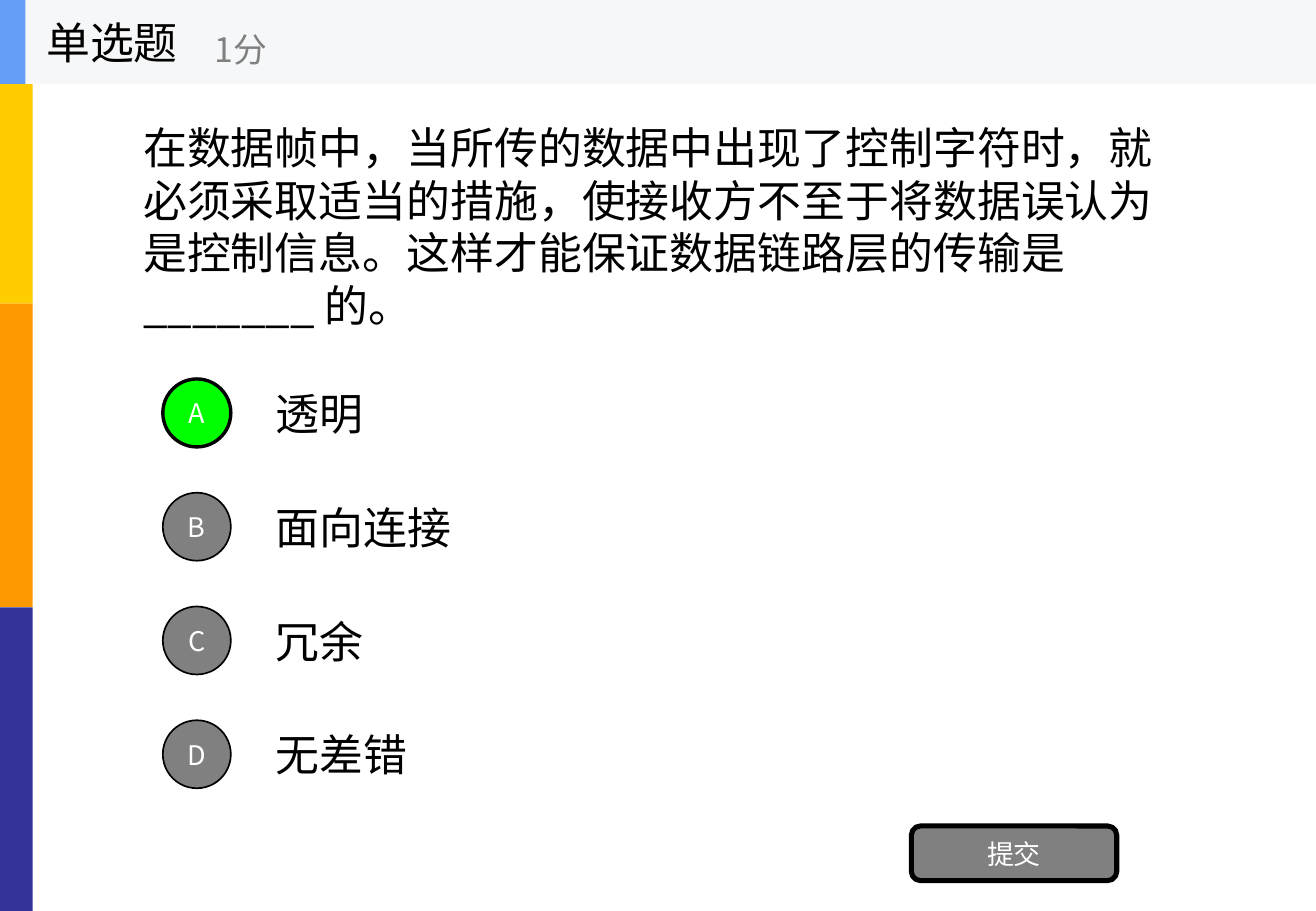
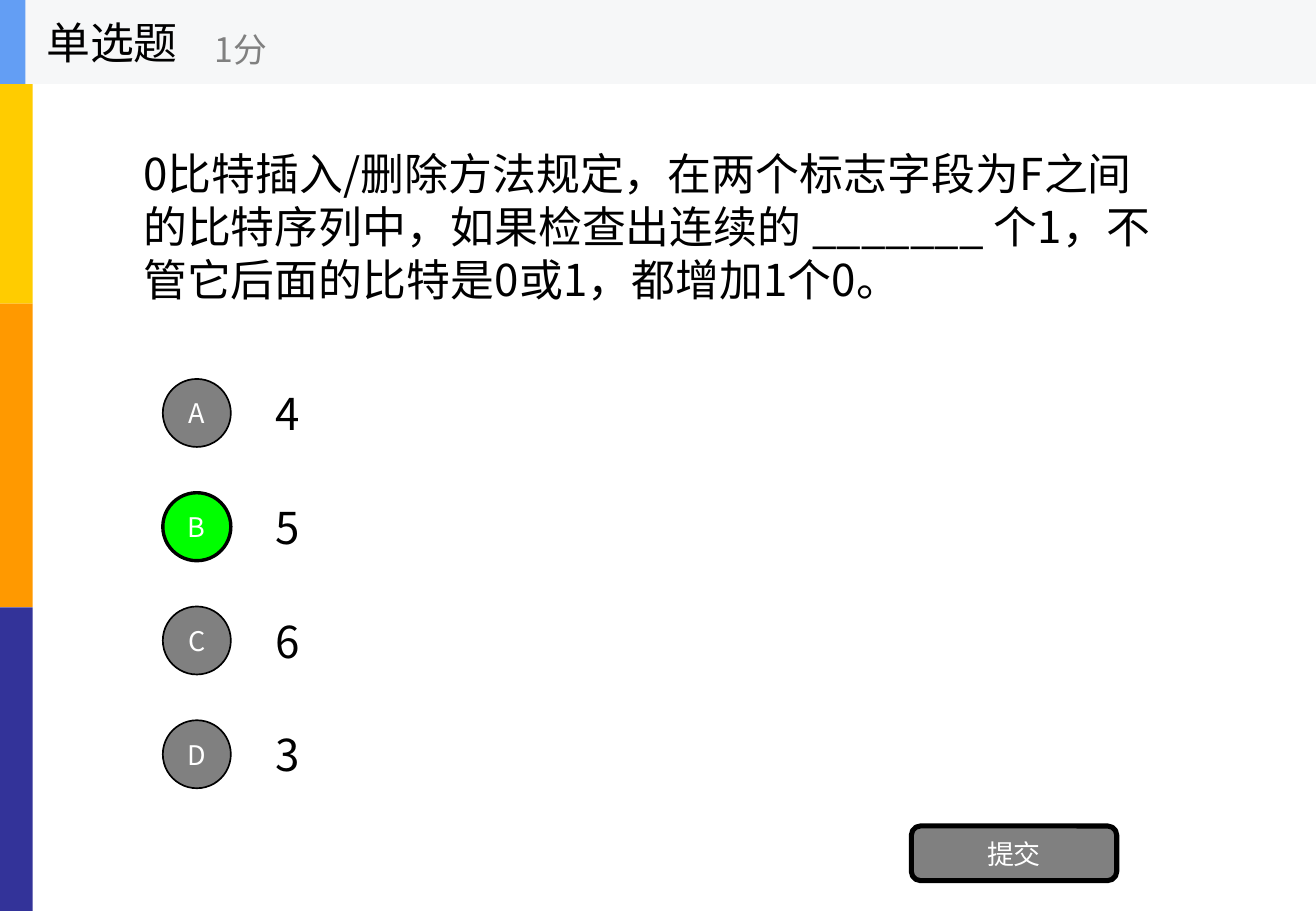
import pptx
import pptx.util
import pptx.dml.color
import pptx.enum.shapes
import pptx.enum.text
import pptx.oxml.ns
import lxml.etree

Inches = pptx.util.Inches
Pt = pptx.util.Pt
SHAPE = pptx.enum.shapes.MSO_SHAPE
ALIGN = pptx.enum.text.PP_ALIGN

QUESTIONS = [
    {
        "stem": "在数据帧中，当所传的数据中出现了控制字符时，就必须采取适当的措施，"
                "使接收方不至于将数据误认为是控制信息。"
                "这样才能保证数据链路层的传输是 _______ 的。",
        "options": ["透明", "面向连接", "冗余", "无差错"],
        "answer": "A",
    },
    {
        "stem": "0比特插入/删除方法规定，在两个标志字段为F之间的比特序列中，"
                "如果检查出连续的 _______ 个1，"
                "不管它后面的比特是0或1，都增加1个0。",
        "options": ["4", "5", "6", "3"],
        "answer": "B",
    },
]
QUESTION_TYPE = "单选题"
SCORE = "1分"
SUBMIT = "提交"

FONT = "Noto Sans CJK SC"
COLORS = {
    "yellow": "FFCC00", "orange": "FF9900", "indigo": "333399",
    "header": "F6F7F8", "accent": "639EF4", "correct": "00FF00",
    "grey": "808080", "black": "000000", "white": "FFFFFF",
}
WIDTH, HEIGHT = 10.83, 7.5
HEADER_HEIGHT = 0.69
STRIPES = ["yellow", "orange", "indigo"]
STRIPE_HEIGHT = HEIGHT / len(STRIPES)
BANDS = [(0, i * STRIPE_HEIGHT, 0.27, STRIPE_HEIGHT, color)
         for i, color in enumerate(STRIPES)]
BANDS += [(0, 0, WIDTH, HEADER_HEIGHT, "header"),
          (0, 0, 0.21, HEADER_HEIGHT, "accent")]

OPTION_TOP, OPTION_PITCH, OPTION_HEIGHT = 3.05, 2.81 / 3, 0.7
BADGE_SIZE = 0.56


def rgb(color):
    return pptx.dml.color.RGBColor.from_string(COLORS[color])


def write(shape, text, size, color, align=ALIGN.LEFT, wrap=True):
    frame = shape.text_frame
    frame.auto_size = pptx.enum.text.MSO_AUTO_SIZE.NONE
    frame.word_wrap = wrap
    frame.vertical_anchor = pptx.enum.text.MSO_ANCHOR.MIDDLE
    paragraph = frame.paragraphs[0]
    paragraph.alignment = align
    run = paragraph.add_run()
    run.text = text
    run.font.size = Pt(size)
    run.font.name = FONT
    run.font.color.rgb = rgb(color)
    east_asian = lxml.etree.SubElement(
        run._r.get_or_add_rPr(), pptx.oxml.ns.qn("a:ea"))
    east_asian.set("typeface", FONT)


def add_text(slide, box, text, size=26, color="black", wrap=True):
    label = slide.shapes.add_textbox(*map(Inches, box))
    write(label, text, size, color, wrap=wrap)


def add_block(slide, kind, box, fill, line_width=0):
    block = slide.shapes.add_shape(kind, *map(Inches, box))
    block.shadow.inherit = False
    block.fill.solid()
    block.fill.fore_color.rgb = rgb(fill)
    if line_width:
        block.line.color.rgb = rgb("black")
        block.line.width = Pt(line_width)
    else:
        block.line.fill.background()
    return block


def add_button(slide, kind, box, text, fill, line_width):
    button = add_block(slide, kind, box, fill, line_width)
    write(button, text, 16, "white", ALIGN.CENTER)


def move_bands_to_layout(slide, layout):
    for *box, color in BANDS:
        band = add_block(slide, SHAPE.RECTANGLE, box, color)
        layout.shapes.element.append(band.element)


def fill_slide(slide, question):
    title = slide.shapes.title
    title.left, title.top, title.width, title.height = map(
        Inches, (0.28, 0, 2.08, HEADER_HEIGHT))
    write(title, QUESTION_TYPE, 26, "black", wrap=False)
    add_text(slide, (1.67, 0.12, 2.5, 0.56), SCORE, 20, "grey", wrap=False)
    add_text(slide, (1.08, HEADER_HEIGHT, 8.67, 2.34), question["stem"])
    for i, (letter, option) in enumerate(zip("ABCD", question["options"])):
        top = OPTION_TOP + i * OPTION_PITCH
        add_text(slide, (2.17, top, 7.58, OPTION_HEIGHT), option)
        badge_top = top + (OPTION_HEIGHT - BADGE_SIZE) / 2
        correct = letter == question["answer"]
        add_button(slide, SHAPE.OVAL, (1.34, badge_top, BADGE_SIZE, BADGE_SIZE),
                   letter, "correct" if correct else "grey", 2 if correct else 1)
    add_button(slide, SHAPE.ROUNDED_RECTANGLE, (7.5, 6.8, 1.69, 0.45),
               SUBMIT, "grey", 3)


def main():
    deck = pptx.Presentation()
    deck.slide_width, deck.slide_height = Inches(WIDTH), Inches(HEIGHT)
    layout = deck.slide_layouts[5]
    slides = [deck.slides.add_slide(layout) for _ in QUESTIONS]
    move_bands_to_layout(slides[0], layout)
    for slide, question in zip(slides, QUESTIONS):
        fill_slide(slide, question)
    deck.save("out.pptx")


if __name__ == "__main__":
    main()
